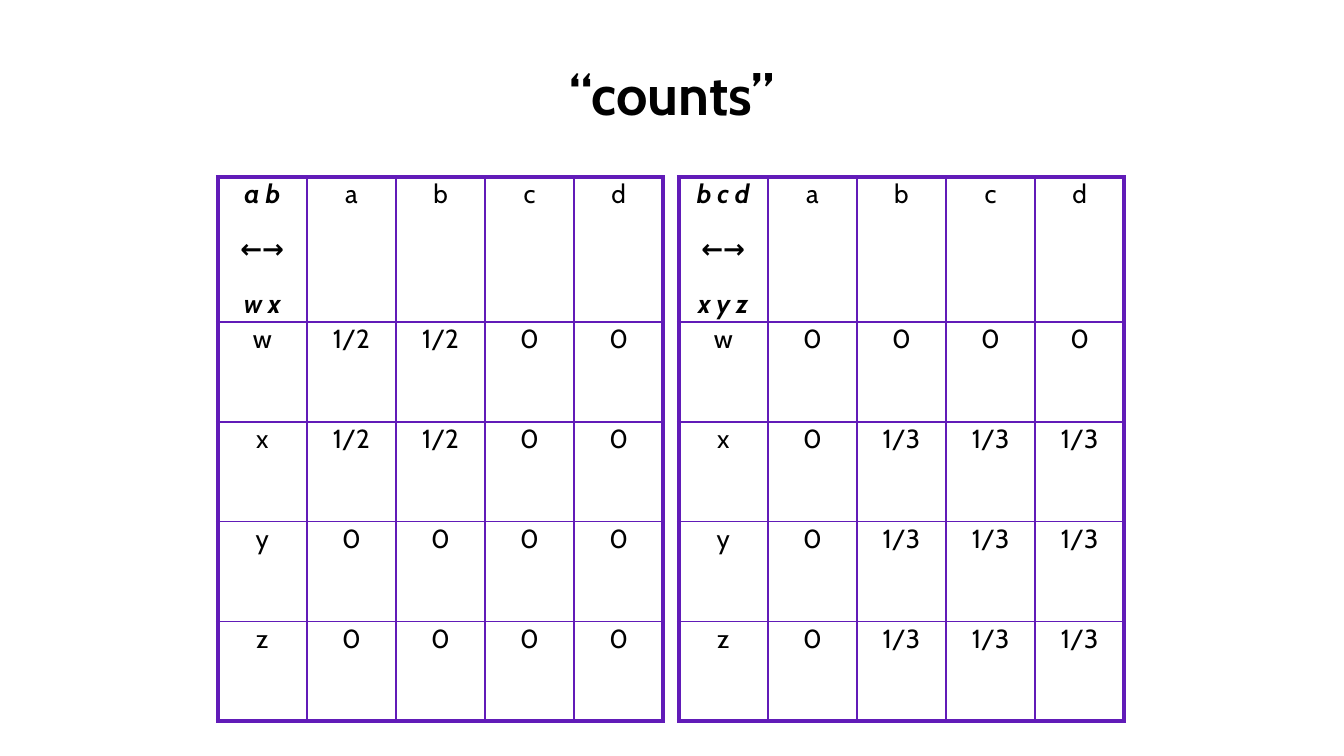
from dataclasses import dataclass
from lxml.etree import SubElement
from pptx import Presentation
from pptx.dml.color import RGBColor
from pptx.enum.text import MSO_ANCHOR, PP_ALIGN
from pptx.oxml.ns import qn
from pptx.util import Inches, Pt


@dataclass(frozen=True)
class Theme:
    font: str = "Cabin"
    ink: str = "000000"
    line: str = "611BB8"
    title: float = 30
    body: float = 14
    thin: float = 1
    thick: float = 2.25


def write(frame, text, theme, size, bold=False, italic=False,
          indent=0, spacing=None, after=None):
    """Fill a text frame with one centred paragraph per line of text."""
    for num, words in enumerate(text.split("\n")):
        para = frame.add_paragraph() if num else frame.paragraphs[0]
        para.alignment = PP_ALIGN.CENTER
        if indent:
            props = para._p.get_or_add_pPr()
            props.set("marL", str(Inches(indent)))
            props.set("indent", str(-Inches(indent)))
        if spacing:
            para.line_spacing = spacing
        if after:
            para.space_after = Pt(after)
        run = para.add_run()
        run.text = words
        font = run.font
        font.name, font.size = theme.font, Pt(size)
        font.bold, font.italic = bold, italic
        font.color.rgb = RGBColor.from_string(theme.ink)


class Deck:
    """Holds the theme and slide; lengths are percentages of its size."""

    def __init__(self, theme, width, ratio):
        self.theme = theme
        self.show = Presentation()
        self.show.slide_width = Inches(width)
        self.show.slide_height = Inches(width * ratio)
        self.slide = self.show.slides.add_slide(self.show.slide_layouts[6])

    def across(self, share):
        return round(self.show.slide_width * share / 100)

    def down(self, share):
        return round(self.show.slide_height * share / 100)

    def title(self, text, left, top, width, height):
        box = self.slide.shapes.add_textbox(
            self.across(left), self.down(top),
            self.across(width), self.down(height))
        frame = box.text_frame
        frame.word_wrap = True
        frame.vertical_anchor = MSO_ANCHOR.MIDDLE
        write(frame, text, self.theme, self.theme.title, bold=True)

    def border(self, cell, sides):
        props = cell._tc.get_or_add_tcPr()
        for side, outer in sides.items():
            width = self.theme.thick if outer else self.theme.thin
            line = SubElement(props, qn(f"a:ln{side}"), w=str(Pt(width)))
            fill = SubElement(line, qn("a:solidFill"))
            SubElement(fill, qn("a:srgbClr"), val=self.theme.line)

    def table(self, data, left, top, height, col, head, row):
        rows, cols = len(data), len(data[0])
        holder = self.slide.shapes.add_table(
            rows, cols, self.across(left), self.down(top),
            self.across(col * cols), self.down(height))
        grid = holder.table
        grid.first_row = grid.horz_banding = False
        for part in grid.columns:
            part.width = self.across(col)
        for num, part in enumerate(grid.rows):
            part.height = self.down(row if num else head)
        # The heading row grows to fit its three lines
        holder.height = self.down(height)

        for y, line in enumerate(data):
            for x, text in enumerate(line):
                cell = grid.cell(y, x)
                cell.margin_left = cell.margin_right = Inches(0.07)
                cell.margin_top = cell.margin_bottom = Inches(0.03)
                corner = x == y == 0
                write(cell.text_frame, text, self.theme, self.theme.body,
                      bold=corner, italic=corner,
                      indent=0.11, spacing=0.89, after=14.2)
                self.border(cell, {"L": x == 0, "R": x == cols - 1,
                                   "T": y == 0, "B": y == rows - 1})
                cell.fill.background()


def counts(source, target):
    """Share each target word's count evenly among the source words."""
    part = f"1/{len(source)}"
    data = [[f"{' '.join(source)}\n←→\n{' '.join(target)}", *"abcd"]]
    for word in "wxyz":
        data.append([word] + [part if word in target and name in source
                              else "0" for name in "abcd"])
    return data


def main():
    deck = Deck(Theme(), 10, 9 / 16)

    # Heading
    deck.title("“counts”", 5, 4, 90, 16.7)

    # One table for each sentence pair
    for left, source, target in ((50.5, "bcd", "xyz"), (16.2, "ab", "wx")):
        deck.table(counts(source, target), left, 23.45, 72,
                   col=6.63, head=17.1, row=13.2)

    deck.show.save("out.pptx")


if __name__ == "__main__":
    main()
